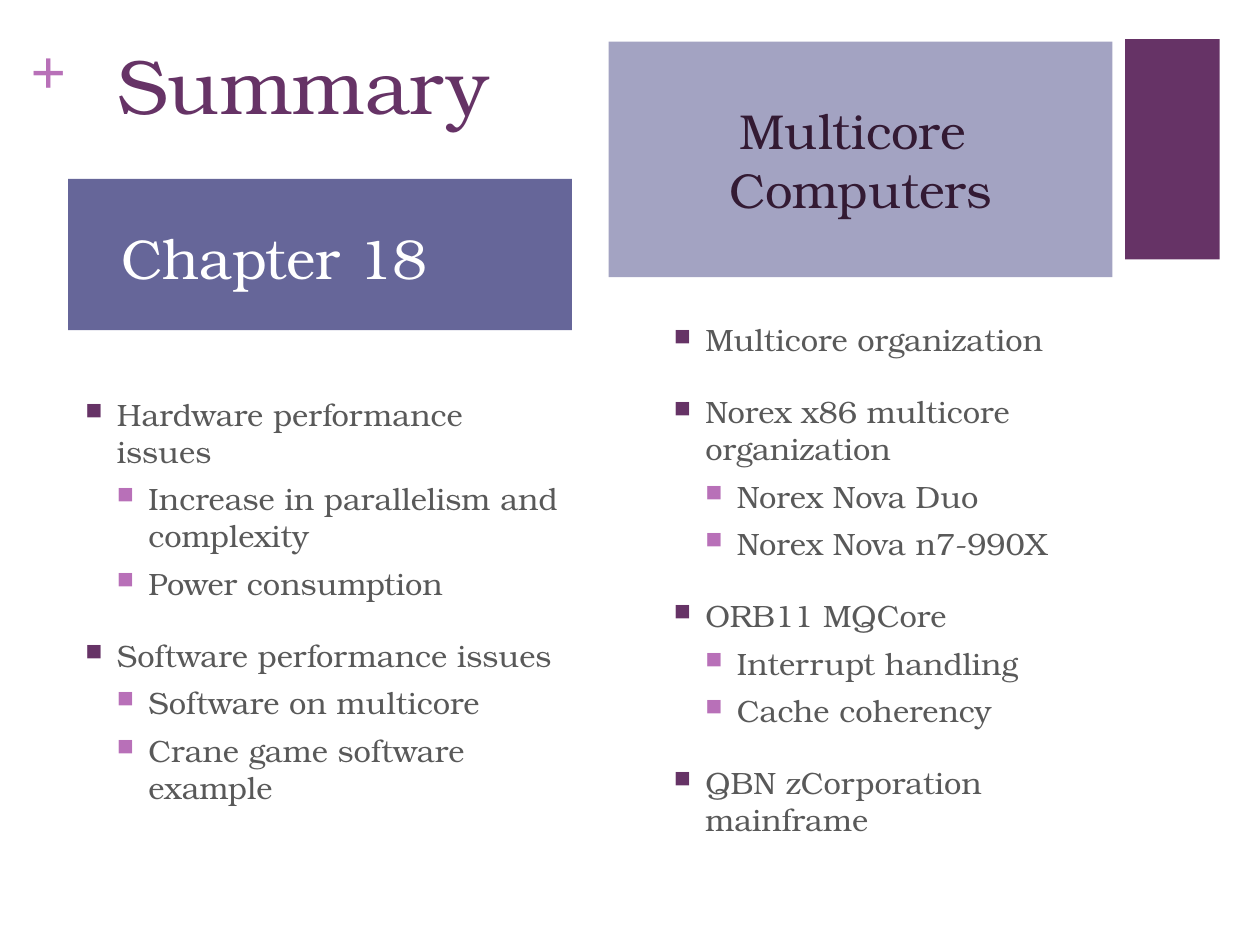
from dataclasses import dataclass

from lxml import etree
from pptx import Presentation
from pptx.dml.color import RGBColor
from pptx.enum.shapes import MSO_SHAPE
from pptx.enum.text import MSO_ANCHOR, MSO_AUTO_SIZE, PP_ALIGN
from pptx.oxml.ns import qn
from pptx.util import Emu, Pt

PX = 9144  # 100 px to the inch
FONT = "TeX Gyre Bonum"
PLUM = RGBColor(0x66, 0x33, 0x66)
PINK = RGBColor(0xB8, 0x70, 0xB8)
BLUE = RGBColor(0x66, 0x66, 0x99)
PALE = RGBColor(0xA3, 0xA3, 0xC2)
DARK = RGBColor(0x33, 0x1A, 0x33)
GREY = RGBColor(0x59, 0x59, 0x59)
WHITE = RGBColor(0xFF, 0xFF, 0xFF)
RECT = MSO_SHAPE.RECTANGLE
TOP, MIDDLE = MSO_ANCHOR.TOP, MSO_ANCHOR.MIDDLE
LEFT, CENTER = PP_ALIGN.LEFT, PP_ALIGN.CENTER
NO_FIT = MSO_AUTO_SIZE.NONE


@dataclass(frozen=True)
class Box:
    left: int
    top: int
    width: int
    height: int

    def emu(self) -> list[Emu]:
        return [Emu(n * PX) for n in (self.left, self.top, self.width, self.height)]


@dataclass(frozen=True)
class Banner:
    box: Box
    fill: RGBColor
    lines: tuple[str, ...] = ()
    size: int = 18
    color: RGBColor = WHITE
    insets: tuple[int, int, int, int] = (10, 0, 10, 0)


@dataclass(frozen=True)
class Level:
    indent: int
    gap: int
    color: RGBColor


@dataclass(frozen=True)
class Topic:
    text: str
    points: tuple[str, ...] = ()


LEVELS = (Level(25, 20, PLUM), Level(50, 6, PINK))

BANNERS = (
    Banner(Box(893, 31, 75, 175), PLUM),
    Banner(Box(54, 142, 400, 120), BLUE, ("Chapter 18",), 32, WHITE, (10, 4, 82, 0)),
    Banner(Box(483, 33, 400, 187), PALE, ("Multicore ", "Computers"), 28, DARK),
)

COLUMNS = (
    (Box(58, 309, 400, 441), (
        Topic("Hardware performance issues",
              ("Increase in parallelism and complexity", "Power consumption")),
        Topic("Software performance issues",
              ("Software on multicore", "Crane game software example")),
    )),
    (Box(525, 250, 400, 450), (
        Topic("Multicore organization"),
        Topic("Norex x86 multicore organization",
              ("Norex Nova Duo", "Norex Nova n7-990X")),
        Topic("ORB11 MQCore", ("Interrupt handling", "Cache coherency")),
        Topic("QBN zCorporation mainframe"),
    )),
)


def style(para, size: float, color: RGBColor, name: str = FONT) -> None:
    para.font.name = name
    para.font.size = Pt(size)
    para.font.color.rgb = color


def set_frame(frame, insets: tuple[int, int, int, int], anchor=TOP, wrap=True) -> None:
    """Set insets (left, top, right, bottom), anchor and wrapping."""
    (frame.margin_left, frame.margin_top,
     frame.margin_right, frame.margin_bottom) = [Emu(n * PX) for n in insets]
    frame.auto_size = NO_FIT
    frame.vertical_anchor = anchor
    frame.word_wrap = wrap


def add_banner(slide, banner: Banner) -> None:
    shape = slide.shapes.add_shape(RECT, *banner.box.emu())
    shape.shadow.inherit = False
    shape.fill.solid()
    shape.fill.fore_color.rgb = banner.fill
    shape.line.fill.background()
    frame = shape.text_frame
    set_frame(frame, banner.insets, MIDDLE)
    for i, line in enumerate(banner.lines):
        para = frame.add_paragraph() if i else frame.paragraphs[0]
        para.text = line
        para.alignment = CENTER
        style(para, banner.size, banner.color)


def add_bullet(para, level: Level) -> None:
    props = para._p.get_or_add_pPr()
    props.set("marL", str(level.indent * PX))
    props.set("indent", str(-25 * PX))
    color = etree.SubElement(props, qn("a:buClr"))
    etree.SubElement(color, qn("a:srgbClr"), val=str(level.color))
    etree.SubElement(props, qn("a:buSzPct"), val="75000")
    etree.SubElement(props, qn("a:buChar"), char="■")


def add_column(slide, box: Box, topics: tuple[Topic, ...]) -> None:
    frame = slide.shapes.add_textbox(*box.emu()).text_frame
    set_frame(frame, (10, 5, 10, 5))
    rows = [row for topic in topics
            for row in ((0, topic.text), *((1, point) for point in topic.points))]
    for i, (depth, text) in enumerate(rows):
        para = frame.add_paragraph() if i else frame.paragraphs[0]
        para.text = text
        para.level = depth
        add_bullet(para, LEVELS[depth])
        para.space_before = Pt(LEVELS[depth].gap if i else 0)
        style(para, 17.6, GREY)


def add_plus(slide) -> None:
    frame = slide.shapes.add_textbox(*Box(24, 25, 29, 61).emu()).text_frame
    set_frame(frame, (0, 0, 0, 0), wrap=False)
    para = frame.paragraphs[0]
    para.text = "+"
    style(para, 36, PINK, "Times New Roman")
    para.font.bold = True


def set_title(slide, text: str) -> None:
    title = slide.shapes.title
    title.left, title.top, title.width, title.height = Box(83, 25, 445, 122).emu()
    set_frame(title.text_frame, (10, 5, 10, 5))
    para = title.text_frame.paragraphs[0]
    para.text = text
    para.alignment = LEFT
    style(para, 44, PLUM)


def main() -> None:
    deck = Presentation()
    deck.slide_width, deck.slide_height = Emu(1000 * PX), Emu(750 * PX)
    slide = deck.slides.add_slide(deck.slide_layouts[5])
    set_title(slide, "Summary")
    add_plus(slide)
    for box, topics in COLUMNS:
        add_column(slide, box, topics)
    for banner in BANNERS:
        add_banner(slide, banner)
    deck.save("out.pptx")


if __name__ == "__main__":
    main()
